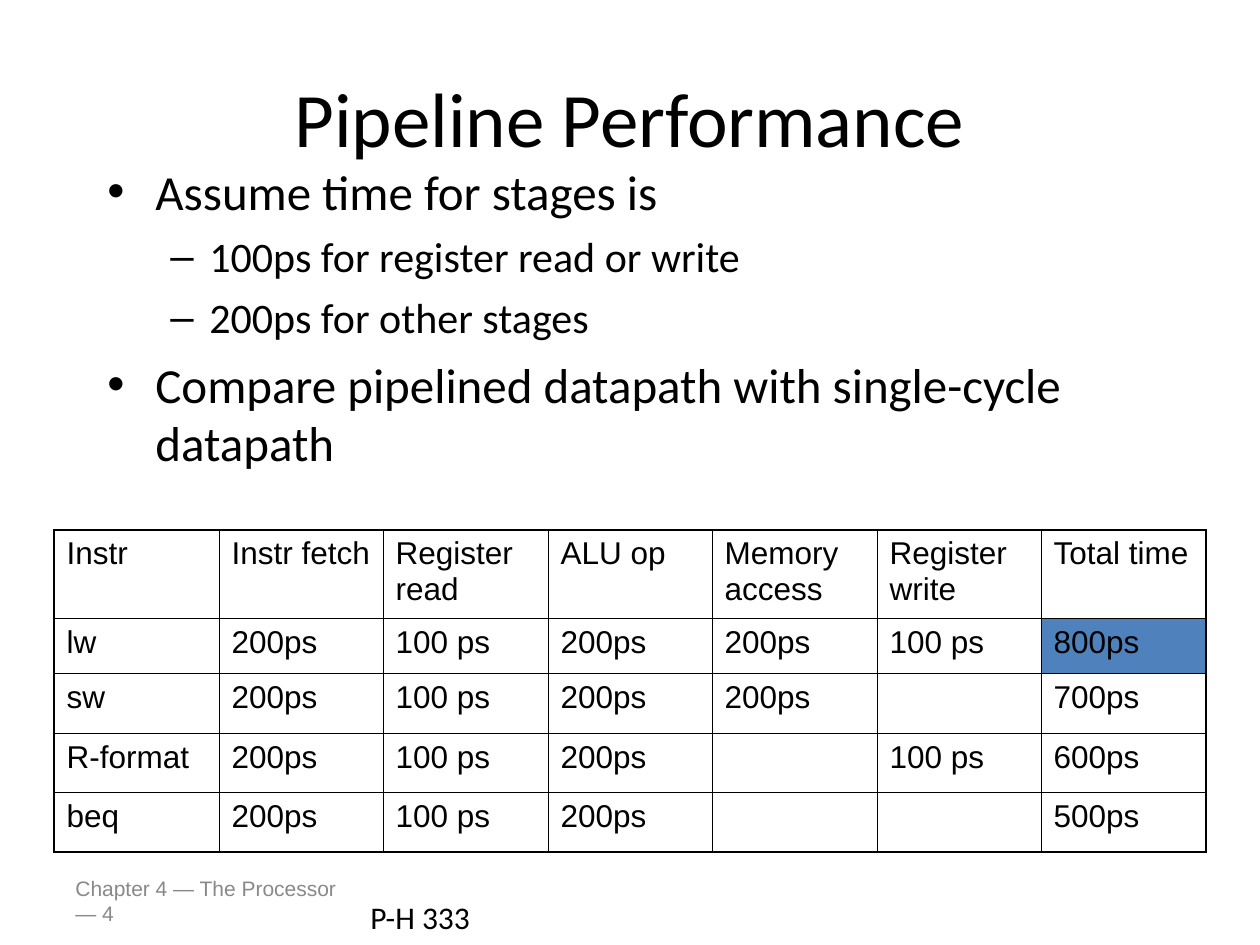
from lxml import etree
from pptx import Presentation
from pptx.dml.color import RGBColor
from pptx.enum.text import MSO_ANCHOR, MSO_AUTO_SIZE, PP_ALIGN
from pptx.oxml.ns import qn
from pptx.util import Emu, Pt

EMU_PER_PX = 914400 / 126
TOP, MIDDLE = MSO_ANCHOR.TOP, MSO_ANCHOR.MIDDLE
LEFT, CENTER = PP_ALIGN.LEFT, PP_ALIGN.CENTER
FIT_SHAPE = MSO_AUTO_SIZE.SHAPE_TO_FIT_TEXT
COLORS = {"ink": "000000", "footer": "898989", "highlight": "4F81BD"}
OUTER, HEADER_RULE, INNER = 1.08, 0.75, 0.45
LEVELS = [
    {"bullet": "•", "size": 28, "margin": 48, "hanging": 48, "before": 7},
    {"bullet": "–", "size": 24, "margin": 102, "hanging": 39, "before": 6},
]


def px(length):
    return Emu(round(length * EMU_PER_PX))


def rgb(name):
    return RGBColor.from_string(COLORS[name])


class SlideBuilder:
    def __init__(self, slide, heading_font="Calibri", table_font="Arial"):
        self.slide = slide
        self.heading_font = heading_font
        self.table_font = table_font

    def style(self, paragraph, size, font, color="ink"):
        paragraph.font.size = Pt(size)
        for run in paragraph.runs:
            run.font.size = Pt(size)
            run.font.name = font
            run.font.color.rgb = rgb(color)

    def frame(self, box, anchor=TOP, wrap=True):
        text_frame = self.slide.shapes.add_textbox(*map(px, box)).text_frame
        text_frame.word_wrap = wrap
        text_frame.vertical_anchor = anchor
        return text_frame

    def text(self, box, words, size, font, color="ink", anchor=TOP, align=LEFT, wrap=True):
        text_frame = self.frame(box, anchor, wrap)
        text_frame.text = words
        if not wrap:
            text_frame.auto_size = FIT_SHAPE
        paragraph = text_frame.paragraphs[0]
        paragraph.alignment = align
        self.style(paragraph, size, font, color)

    def bullets(self, box, items):
        text_frame = self.frame(box)
        for index, (depth, words) in enumerate(items):
            level = LEVELS[depth]
            paragraph = text_frame.add_paragraph() if index else text_frame.paragraphs[0]
            paragraph.text = words
            paragraph.level = depth
            if index:
                paragraph.space_before = Pt(level["before"])
            properties = paragraph._p.get_or_add_pPr()
            properties.set("marL", str(px(level["margin"])))
            properties.set("indent", str(-px(level["hanging"])))
            etree.SubElement(properties, qn("a:buFont"), typeface="Arial")
            etree.SubElement(properties, qn("a:buChar"), char=level["bullet"])
            self.style(paragraph, level["size"], self.heading_font)

    def borders(self, cell, widths):
        properties = cell._tc.get_or_add_tcPr()
        for side, width in widths.items():
            line = etree.SubElement(properties, qn(f"a:ln{side}"), w=str(Pt(width)))
            fill = etree.SubElement(line, qn("a:solidFill"))
            etree.SubElement(fill, qn("a:srgbClr"), val=COLORS["ink"])

    def table(self, left, top, column_widths, row_heights, rows, highlighted):
        box = (left, top, sum(column_widths), sum(row_heights))
        table = self.slide.shapes.add_table(len(rows), len(column_widths), *map(px, box)).table
        table.first_row = table.horz_banding = False
        for column, width in zip(table.columns, column_widths):
            column.width = px(width)
        for row, height in zip(table.rows, row_heights):
            row.height = px(height)
        last_row, last_column = len(rows) - 1, len(column_widths) - 1
        horizontal = [OUTER, HEADER_RULE] + [INNER] * (last_row - 1) + [OUTER]
        vertical = [OUTER] + [INNER] * last_column + [OUTER]
        for r, values in enumerate(rows):
            for c, value in enumerate(values):
                cell = table.cell(r, c)
                cell.text = value
                self.style(cell.text_frame.paragraphs[0], 18, self.table_font)
                self.borders(cell, {"L": vertical[c], "R": vertical[c + 1],
                                    "T": horizontal[r], "B": horizontal[r + 1]})
                if (r, c) == highlighted:
                    cell.fill.solid()
                    cell.fill.fore_color.rgb = rgb("highlight")
                else:
                    cell.fill.background()


def main():
    presentation = Presentation()
    presentation.slide_width, presentation.slide_height = px(1260), px(945)
    builder = SlideBuilder(presentation.slides.add_slide(presentation.slide_layouts[6]))

    builder.text((63, 876, 294, 50), "Chapter 4 — The Processor — 4", 12, "Arial",
                 color="footer", anchor=MIDDLE)
    builder.text((63, 38, 1134, 157), "Pipeline Performance", 44, "Calibri",
                 anchor=MIDDLE, align=CENTER)
    builder.bullets((95, 155, 1139, 349), [
        (0, "Assume time for stages is"),
        (1, "100ps for register read or write"),
        (1, "200ps for other stages"),
        (0, "Compare pipelined datapath with single-cycle datapath"),
    ])
    stage_times = [
        ["Instr", "Instr fetch", "Register read", "ALU op", "Memory access",
         "Register write", "Total time"],
        ["lw", "200ps", "100 ps", "200ps", "200ps", "100 ps", "800ps"],
        ["sw", "200ps", "100 ps", "200ps", "200ps", "", "700ps"],
        ["R-format", "200ps", "100 ps", "200ps", "", "100 ps", "600ps"],
        ["beq", "200ps", "100 ps", "200ps", "", "", "500ps"],
    ]
    builder.table(54, 530, [165, 164, 165, 164, 165, 164, 165], [88, 55, 60, 59, 60],
                  stage_times, highlighted=(1, 6))
    builder.text((358, 892, 126, 50), "P-H 333", 18, "Calibri", wrap=False)
    presentation.save("out.pptx")


if __name__ == "__main__":
    main()
